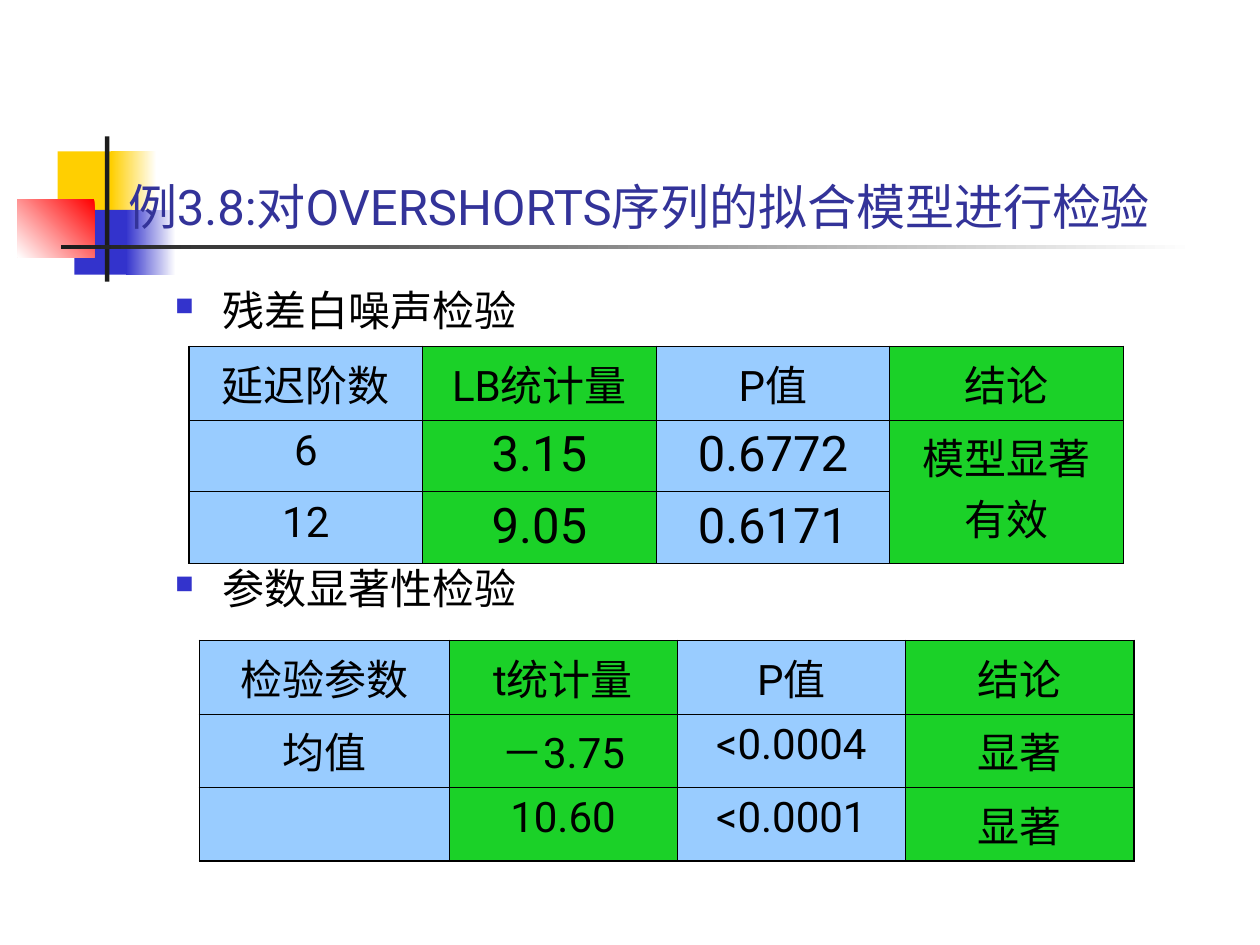
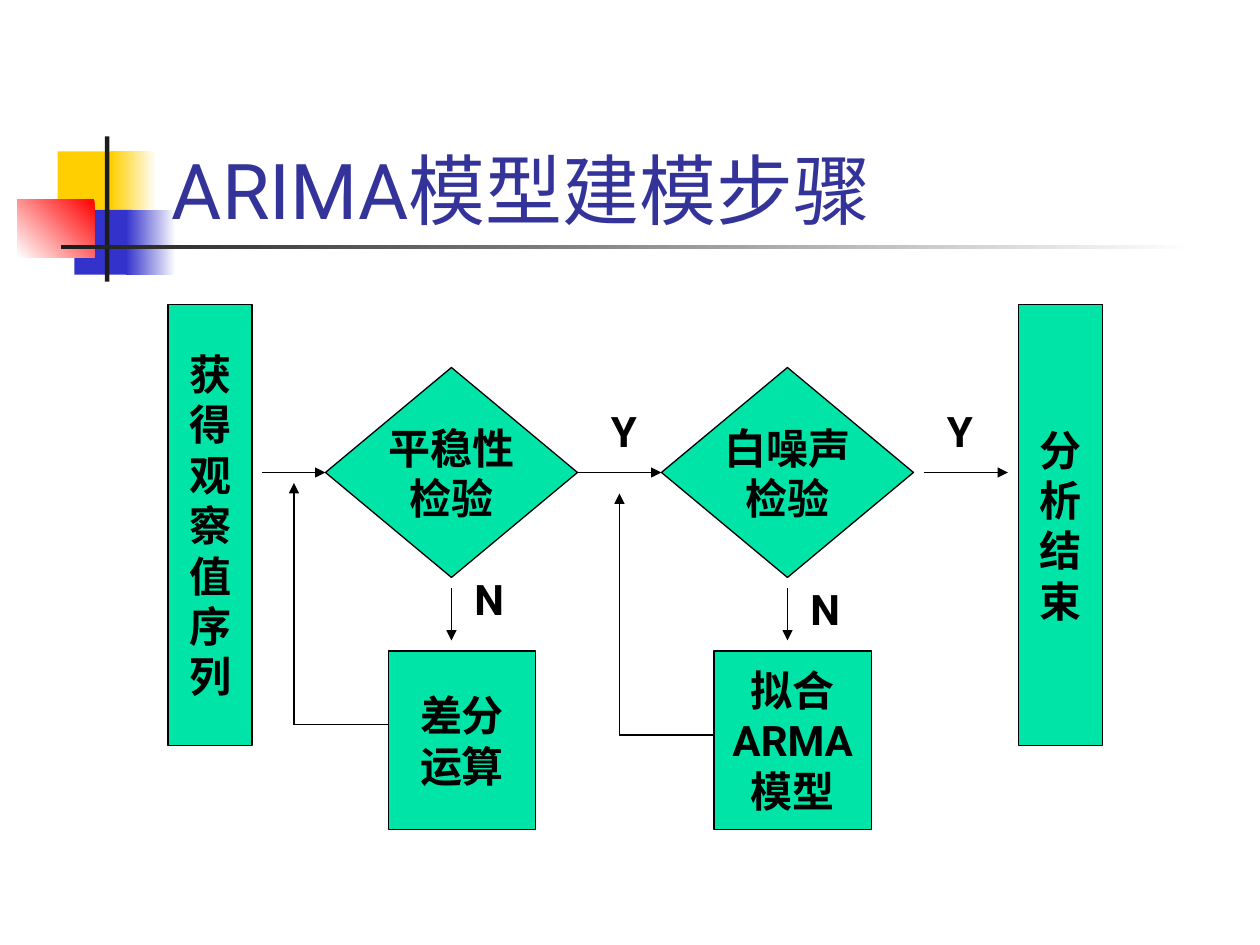
from lxml.etree import SubElement as Sub
from pptx import Presentation
from pptx.dml.color import RGBColor
from pptx.enum.shapes import MSO_CONNECTOR as Link, MSO_SHAPE as Kind
from pptx.enum.text import MSO_ANCHOR as Anchor, MSO_AUTO_SIZE as Fit, PP_ALIGN as Align
from pptx.oxml.ns import qn
from pptx.util import Pt

HUES = {
    "gold": "FFCF01", "blue": "3333CC", "red": "FF0000", "dark": "1C1C1C",
    "white": "FFFFFF", "black": "000000", "title": "333399",
    "sky": "99CCFF", "green": "1BD128", "mint": "00E4A8",
}
LATIN, HAN = "Roboto", "Noto Sans CJK SC"


def hue(name):
    """Return the colour with this name."""
    return RGBColor.from_string(HUES[name])


def style(para, size, color="black", bold=False, align=Align.LEFT):
    """Set the font and alignment of a paragraph."""
    para.alignment = align
    font = para.font
    font.size, font.bold, font.name = Pt(size), bold, LATIN
    font.color.rgb = hue(color)
    Sub(para._p.pPr.find(qn("a:defRPr")), qn("a:ea"), typeface=HAN)


def block(slide, kind, box, color):
    """Add a plain filled shape without a line."""
    shape = slide.shapes.add_shape(kind, *map(Pt, box))
    shape.shadow.inherit = False
    shape.fill.solid()
    shape.fill.fore_color.rgb = hue(color)
    shape.line.fill.background()
    return shape


def fade(slide, box, start, end, angle=180):
    """Add a rectangle that fades between two colours."""
    fill = block(slide, Kind.RECTANGLE, box, start).fill
    fill.gradient()
    fill.gradient_angle = angle
    for stop, color in zip(fill.gradient_stops, (start, end)):
        stop.color.rgb = hue(color)


def decor(slide, x, y):
    """Draw the coloured squares and the two rules."""
    block(slide, Kind.RECTANGLE, (x + 23, y + 8.5, 34.5, 37.5), "gold")
    fade(slide, (x + 53.5, y + 8.5, 26, 37.5), "white", "gold")
    block(slide, Kind.RECTANGLE, (x + 32.5, y + 42, 33, 37), "blue")
    fade(slide, (x + 62, y + 42, 28.5, 37), "white", "blue")
    fade(slide, (x, y + 36, 44, 33), "red", "white", 225)
    block(slide, Kind.RECTANGLE, (x + 50, y, 2.5, 83), "dark")
    fade(slide, (x + 25, y + 62, 648, 2.5), "white", "dark")


def start(deck, text, left, size):
    """Add a slide with its squares and title."""
    slide = deck.slides.add_slide(deck.slide_layouts[5])
    decor(slide, 10, 78)
    title = slide.shapes.title
    title.left, title.top = Pt(left), Pt(48)
    title.width, title.height = Pt(704 - left), Pt(90)
    frame = title.text_frame
    frame.text = text
    frame.auto_size, frame.vertical_anchor = Fit.NONE, Anchor.BOTTOM
    style(frame.paragraphs[0], size, "title")
    slide.shapes._spTree.append(title._element)
    return slide


def bullets(slide, box, lines, gap):
    """Write square-bulleted lines with a gap between them."""
    frame = slide.shapes.add_textbox(*map(Pt, box)).text_frame
    frame.word_wrap = True
    frame.text = "\n".join(lines)
    for i, para in enumerate(frame.paragraphs):
        props = para._p.get_or_add_pPr()
        props.set("marL", str(Pt(27)))
        props.set("indent", str(-Pt(27)))
        Sub(Sub(props, qn("a:buClr")), qn("a:srgbClr"), val=HUES["blue"])
        Sub(props, qn("a:buSzPct"), val="60000")
        Sub(props, qn("a:buChar"), char="■")
        if i:
            para.space_before = Pt(gap)
        style(para, 24)


def edges(cell, sides):
    """Draw cell borders of the given widths."""
    props = cell._tc.get_or_add_tcPr()
    for side, width in sides.items():
        line = Sub(props, qn("a:ln" + side), w=str(Pt(width)))
        Sub(Sub(line, qn("a:solidFill")), qn("a:srgbClr"), val=HUES["black"])


def grid(slide, x, y, cols, tall, rows, merge=None, large=()):
    """Build a table with striped columns and a thicker frame."""
    shape = slide.shapes.add_table(
        len(rows), len(cols), Pt(x), Pt(y), Pt(sum(cols)), Pt(sum(tall)))
    table = shape.table
    table.first_row = table.horz_banding = False
    for col, width in zip(table.columns, cols):
        col.width = Pt(width)
    for row, height in zip(table.rows, tall):
        row.height = Pt(height)
    if merge:
        first, last = merge
        table.cell(*first).merge(table.cell(*last))
    for r, row in enumerate(rows):
        for c, text in enumerate(row):
            cell = table.cell(r, c)
            ends = {"L": c == 0, "R": c == len(cols) - 1, "T": r == 0,
                    "B": r + cell.span_height == len(rows)}
            edges(cell, {side: 1.08 if end else 0.45 for side, end in ends.items()})
            cell.fill.solid()
            cell.fill.fore_color.rgb = hue("green" if c % 2 else "sky")
            if text:
                cell.text = text
                size = 28 if (r, c) in large else 24
                style(cell.text_frame.paragraphs[0], size, align=Align.CENTER)


def node(slide, kind, box, lines):
    """Add a flow chart shape with centred bold lines."""
    shape = block(slide, kind, box, "mint")
    shape.line.color.rgb, shape.line.width = hue("black"), Pt(0.75)
    frame = shape.text_frame
    frame.word_wrap, frame.vertical_anchor = False, Anchor.MIDDLE
    frame.text = "\n".join(lines)
    for para in frame.paragraphs:
        para.line_spacing = Pt(28.8)
        style(para, 24, bold=True, align=Align.CENTER)


def line(slide, ends, arrow=True):
    """Draw a thin line, with an arrowhead if wanted."""
    link = slide.shapes.add_connector(Link.STRAIGHT, *map(Pt, ends))
    link.line.color.rgb, link.line.width = hue("black"), Pt(0.75)
    props = link._element.spPr
    if arrow:
        Sub(props.find(qn("a:ln")), qn("a:tailEnd"), type="triangle")
    Sub(props, qn("a:effectLst"))


def label(slide, x, y, text):
    """Write a bold branch letter."""
    frame = slide.shapes.add_textbox(Pt(x), Pt(y), Pt(30), Pt(36)).text_frame
    frame.word_wrap = True
    frame.text = text
    style(frame.paragraphs[0], 24, bold=True)


def check(slide, x, y, test, action, shift):
    """Draw a test, its two branches and the way back."""
    node(slide, Kind.DIAMOND, (x, y, 144, 120), test)
    line(slide, (x + 144 + shift, y + 60, x + 192 + shift, y + 60))
    label(slide, x + 156, y + 18, "Y")
    line(slide, (x + 72, y + 126, x + 72, y + 156))
    label(slide, x + 78, y + 114 + shift, "N")
    left, back, low = x + 36 - shift, x - 18 - shift, y + 204 + shift
    node(slide, Kind.RECTANGLE, (left, y + 162, 84 + shift, 102), action)
    line(slide, (back, low, left, low), arrow=False)
    line(slide, (back, low, back, low - 138))


def flow(slide, x, y):
    """Draw the modelling steps from left to right."""
    for left, text in ((x, "获得观察值序列"), (x + 486, "分析结束")):
        node(slide, Kind.RECTANGLE, (left, y, 48, 252), text)
    line(slide, (x + 54, y + 96, x + 90, y + 96))
    check(slide, x + 90, y + 36, ("平稳性", "检验"), ("差分", "运算"), 0)
    check(slide, x + 282, y + 36, ("白噪声", "检验"), ("拟合", "ARMA", "模型"), 6)


def main():
    """Build and save the two slides."""
    deck = Presentation()
    deck.slide_width, deck.slide_height = Pt(720), Pt(540)

    slide = start(deck, "例3.8:对OVERSHORTS序列的拟合模型进行检验", 66, 28)
    bullets(slide, (93, 159, 612, 324), ("残差白噪声检验", "参数显著性检验"), 130)
    grid(slide, 114, 366, (142.5, 130.5, 130.5, 130.5), (42, 42, 42), (
        ("检验参数", "t统计量", "P值", "结论"),
        ("均值", "－3.75", "<0.0004", "显著"),
        ("", "10.60", "<0.0001", "显著")))
    grid(slide, 108, 198, (133.5,) * 4, (42, 41, 41), (
        ("延迟阶数", "LB统计量", "P值", "结论"),
        ("6", "3.15", "0.6772", "模型显著有效"),
        ("12", "9.05", "0.6171", "")),
        merge=((1, 3), (2, 3)), large=((1, 1), (1, 2), (2, 1), (2, 2)))

    flow(start(deck, "ARIMA模型建模步骤", 91, 44), 96, 174)
    deck.save("out.pptx")


if __name__ == "__main__":
    main()
